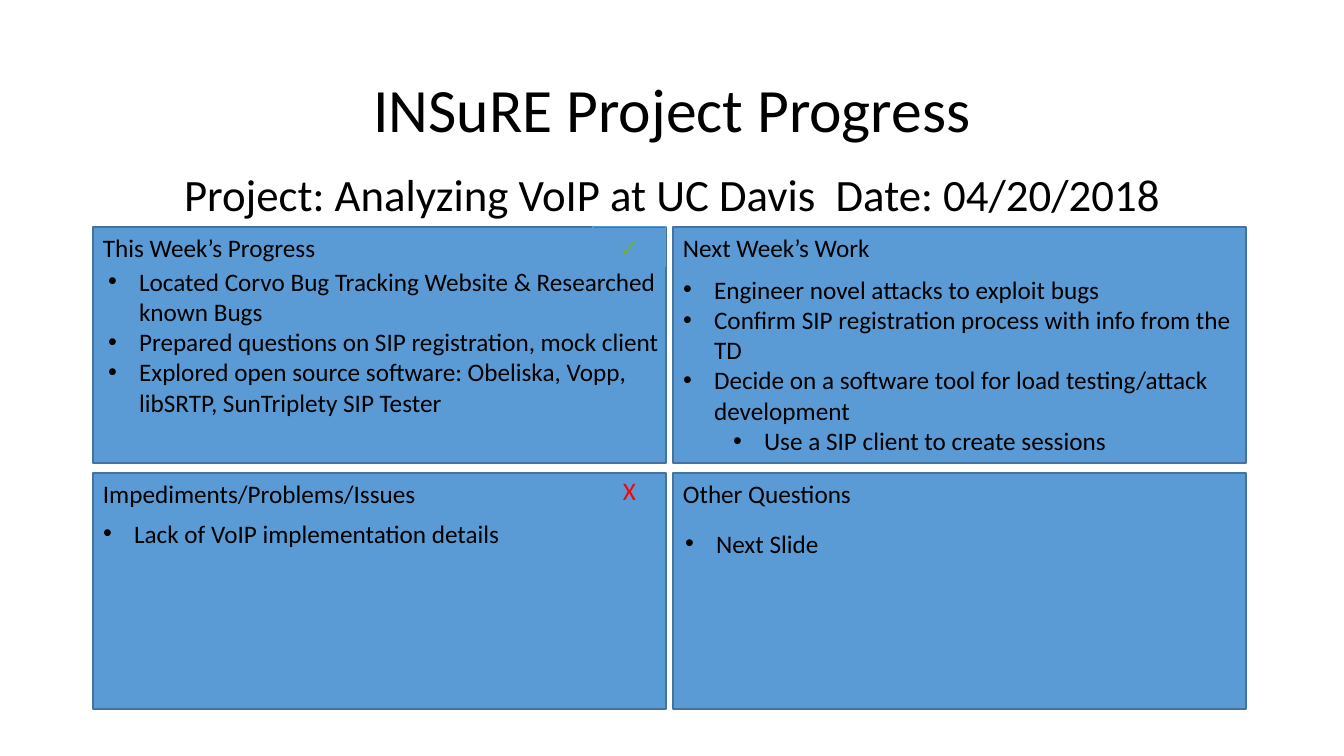
from lxml.etree import SubElement
from pptx import Presentation
from pptx.dml.color import RGBColor
from pptx.enum.shapes import MSO_SHAPE
from pptx.enum.text import MSO_ANCHOR, MSO_AUTO_SIZE, PP_ALIGN
from pptx.oxml.ns import qn
from pptx.util import Pt

SCALE = 914400 / 100.8
BLACK, BLUE, NAVY, GREEN, RED = "000000", "5B9BD5", "43739E", "70AD47", "FF0000"


def px(value):
    return round(value * SCALE)


def color(value):
    return RGBColor.from_string(value)


class ProgressPage:
    font = "Calibri"
    size = 18
    indent = 31
    level_step = 50

    def __init__(self, page):
        self.page = page
        self.shapes = page.shapes
        self.bodies = [holder for holder in page.placeholders
                       if holder.placeholder_format.idx in (1, 2, 3, 4)]

    def place(self, shape, area):
        shape.left, shape.top, shape.width, shape.height = map(px, area)

    def set_text(self, shape, lines, size=None, ink=BLACK, align=PP_ALIGN.LEFT,
                 anchor=MSO_ANCHOR.TOP, spacing=1.0):
        frame = shape.text_frame
        frame.text = "\n".join(lines)
        frame.word_wrap = True
        frame.auto_size = MSO_AUTO_SIZE.NONE
        frame.vertical_anchor = anchor
        for para in frame.paragraphs:
            para.alignment = align
            para.line_spacing = spacing
            para.space_before = para.space_after = Pt(0)
            para.font.name = self.font
            para.font.size = Pt(size or self.size)
            para.font.bold = False
            para.font.color.rgb = color(ink)

    def title(self, text, area):
        self.place(self.shapes.title, area)
        self.set_text(self.shapes.title, [text], 44, align=PP_ALIGN.CENTER,
                      anchor=MSO_ANCHOR.MIDDLE, spacing=0.9)

    def text(self, text, area, **style):
        box = self.shapes.add_textbox(*map(px, area))
        self.set_text(box, [text], **style)

    def rectangle(self, area, line, width, fill=None):
        shape = self.shapes.add_shape(MSO_SHAPE.RECTANGLE, *map(px, area))
        shape.shadow.inherit = False
        if fill:
            shape.fill.solid()
            shape.fill.fore_color.rgb = color(fill)
        else:
            shape.fill.background()
        shape.line.color.rgb = color(line)
        shape.line.width = Pt(width)
        return shape

    def panel(self, heading, area):
        self.rectangle(area, NAVY, 1, BLUE)
        left, top, width, height = area
        self.text(heading, (left, top, width, 40))

    def bullets(self, items, area):
        body = self.bodies.pop(0)
        self.shapes._spTree.append(body._element)
        self.place(body, area)
        self.set_text(body, [text for text, level in items])
        for para, (text, level) in zip(body.text_frame.paragraphs, items):
            para.level = level
            properties = para._p.get_or_add_pPr()
            properties.set("marL", str(px(self.indent + level * self.level_step)))
            properties.set("indent", str(px(-self.indent)))
            SubElement(properties, qn("a:buFont")).set("typeface", "Arial")
            SubElement(properties, qn("a:buChar")).set("char", "•")
            run_defaults = properties.find(qn("a:defRPr"))
            properties.append(run_defaults)


deck = Presentation()
deck.slide_width, deck.slide_height = px(1344), px(756)
progress = ProgressPage(deck.slides.add_slide(deck.slide_layouts[4]))

LEFT, TOP, WIDTH, HEIGHT = 93, 227, 573, 236
COLUMN_STEP, ROW_STEP = 580, 246
RIGHT = LEFT + COLUMN_STEP

progress.title("INSuRE Project Progress", (LEFT, 40, 1159, 146))
progress.text("Project: Analyzing VoIP at UC Davis  Date: 04/20/2018",
              (LEFT, 124, 1159, 146), size=32, align=PP_ALIGN.CENTER,
              anchor=MSO_ANCHOR.MIDDLE, spacing=0.9)

headings = ["This Week’s Progress", "Next Week’s Work",
            "Impediments/Problems/Issues", "Other Questions"]
for number, heading in enumerate(headings):
    row, column = divmod(number, 2)
    progress.panel(heading, (LEFT + column * COLUMN_STEP,
                             TOP + row * ROW_STEP, WIDTH, HEIGHT))

done = progress.rectangle((593, TOP, 73, 40), BLUE, 0.75)
progress.set_text(done, ["✓"], ink=GREEN, align=PP_ALIGN.CENTER)
progress.text("X", (593, 470, 73, 40), ink=RED, align=PP_ALIGN.CENTER)

progress.bullets([
    ("Located Corvo Bug Tracking Website & Researched known Bugs", 0),
    ("Prepared questions on SIP registration, mock client", 0),
    ("Explored open source software: Obeliska, Vopp, libSRTP, SunTriplety SIP Tester", 0),
], (98, 261, WIDTH, 224))
progress.bullets([
    ("Engineer novel attacks to exploit bugs", 0),
    ("Confirm SIP registration process with info from the TD", 0),
    ("Decide on a software tool for load testing/attack development", 0),
    ("Use a SIP client to create sessions", 1),
], (RIGHT, 269, WIDTH, 194))
progress.bullets([("Lack of VoIP implementation details", 0)], (LEFT, 513, WIDTH, 40))
progress.bullets([("Next Slide", 0)], (675, 523, 479, 40))

deck.save("out.pptx")
